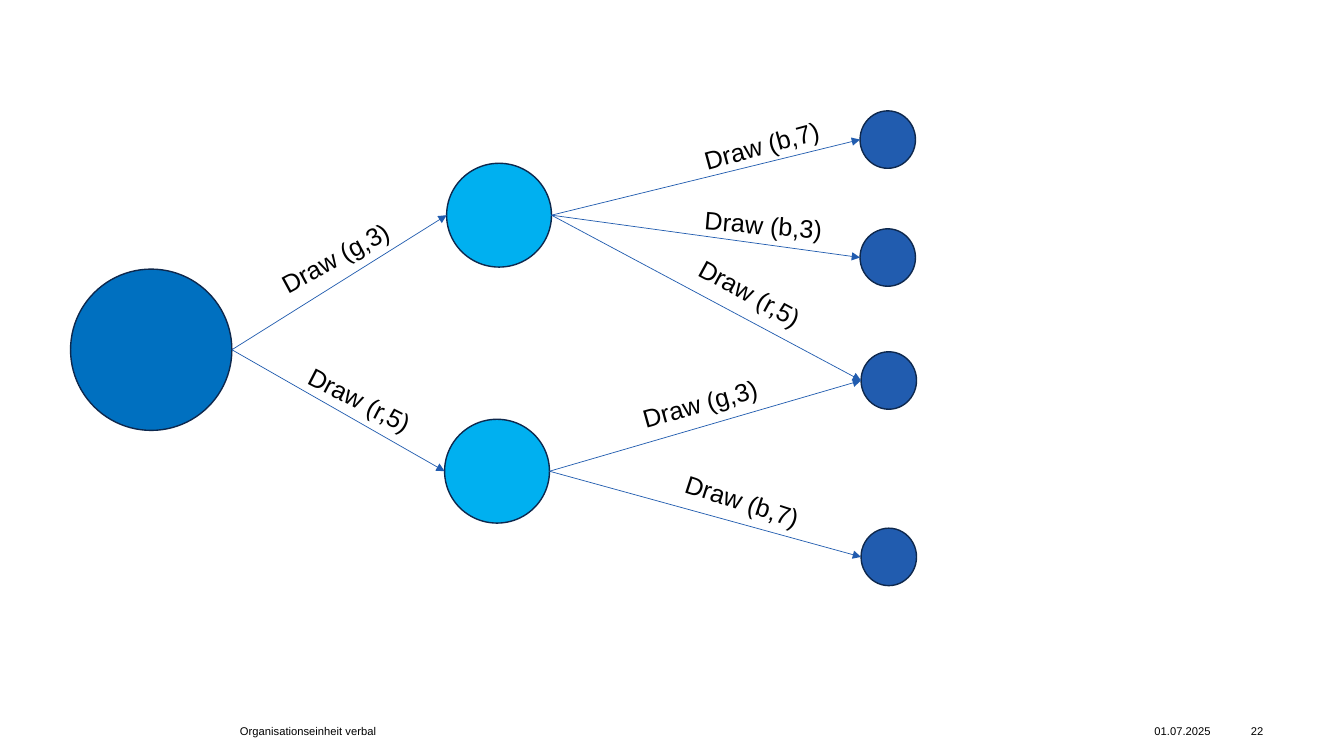
from pptx import Presentation
from pptx.dml.color import RGBColor
from pptx.enum.shapes import MSO_CONNECTOR, MSO_SHAPE
from pptx.enum.text import MSO_ANCHOR, MSO_AUTO_SIZE, PP_ALIGN
from pptx.oxml.ns import qn
from pptx.util import Inches, Pt
from lxml.etree import SubElement


def color(code):
    return RGBColor.from_string(code)


class Painter:
    font = "Arial"
    ink = "000000"
    edge = "0E284D"
    blue = "215CAF"

    def __init__(self, slide):
        self.slide = slide

    def text(self, words, left, top, width, height, size):
        box = self.slide.shapes.add_textbox(
            Inches(left), Inches(top), Inches(width), Inches(height))
        frame = box.text_frame
        frame.text = words
        font = frame.paragraphs[0].runs[0].font
        font.name = self.font
        font.size = Pt(size)
        font.color.rgb = color(self.ink)
        return box

    def footer(self, words, left, width, align=PP_ALIGN.LEFT):
        frame = self.text(words, left, 7.13, width, 0.24, 8).text_frame
        frame.margin_left = frame.margin_right = 0
        frame.margin_top = frame.margin_bottom = 0
        frame.word_wrap = True
        frame.vertical_anchor = MSO_ANCHOR.MIDDLE
        frame.paragraphs[0].alignment = align

    def label(self, words, left, top, width, angle):
        box = self.text(words, left, top, width, 0.4, 18)
        box.text_frame.word_wrap = False
        box.text_frame.auto_size = MSO_AUTO_SIZE.SHAPE_TO_FIT_TEXT
        box.rotation = angle

    def node(self, left, top, width, height, fill):
        disc = self.slide.shapes.add_shape(
            MSO_SHAPE.OVAL, Inches(left), Inches(top),
            Inches(width), Inches(height))
        disc.shadow.inherit = False
        disc.fill.solid()
        disc.fill.fore_color.rgb = color(fill)
        disc.line.color.rgb = color(self.edge)
        disc.line.width = Pt(1)
        return disc

    def arrow(self, start, end):
        link = self.slide.shapes.add_connector(
            MSO_CONNECTOR.STRAIGHT,
            start.left + start.width, start.top + start.height // 2,
            end.left, end.top + end.height // 2)
        link.line.color.rgb = color(self.blue)
        link.line.width = Pt(0.5)
        SubElement(link.line._get_or_add_ln(), qn("a:tailEnd"), type="triangle")
        SubElement(link._element.spPr, qn("a:effectLst"))


def main():
    deck = Presentation()
    deck.slide_width = Inches(13.33)
    deck.slide_height = Inches(7.5)
    pen = Painter(deck.slides.add_slide(deck.slide_layouts[6]))

    pen.footer("01.07.2025", 11.45, 0.67)
    pen.footer("Organisationseinheit verbal", 2.38, 5.91)
    pen.footer("22", 12.18, 0.35, PP_ALIGN.RIGHT)

    root = pen.node(0.7, 2.67, 1.6, 1.6, "0070C0")
    upper, lower = [pen.node(left, top, 1.04, 1.03, "00B0F0")
                    for left, top in [(4.43, 1.62), (4.41, 4.16)]]
    leaves = [pen.node(left, top, 0.55, 0.57, pen.blue)
              for left, top in [(8.53, 1.1), (8.53, 2.27),
                                (8.54, 3.49), (8.54, 5.24)]]

    for start, ends in [(root, [upper, lower]),
                        (upper, leaves[:3]),
                        (lower, leaves[2:])]:
        for end in ends:
            pen.arrow(start, end)

    for card, left, top, width, angle in [
            ("g,3", 2.64, 2.35, 1.38, 331.5),
            ("r,5", 2.92, 3.77, 1.31, 27.3),
            ("b,7", 6.87, 1.24, 1.38, 344.8),
            ("b,3", 6.89, 2.03, 1.38, 4.8),
            ("r,5", 6.79, 2.71, 1.31, 28.5),
            ("g,3", 6.26, 3.8, 1.38, 344.4),
            ("b,7", 6.68, 4.77, 1.38, 18)]:
        pen.label(f"Draw ({card})", left, top, width, angle)

    deck.save("out.pptx")


if __name__ == "__main__":
    main()
